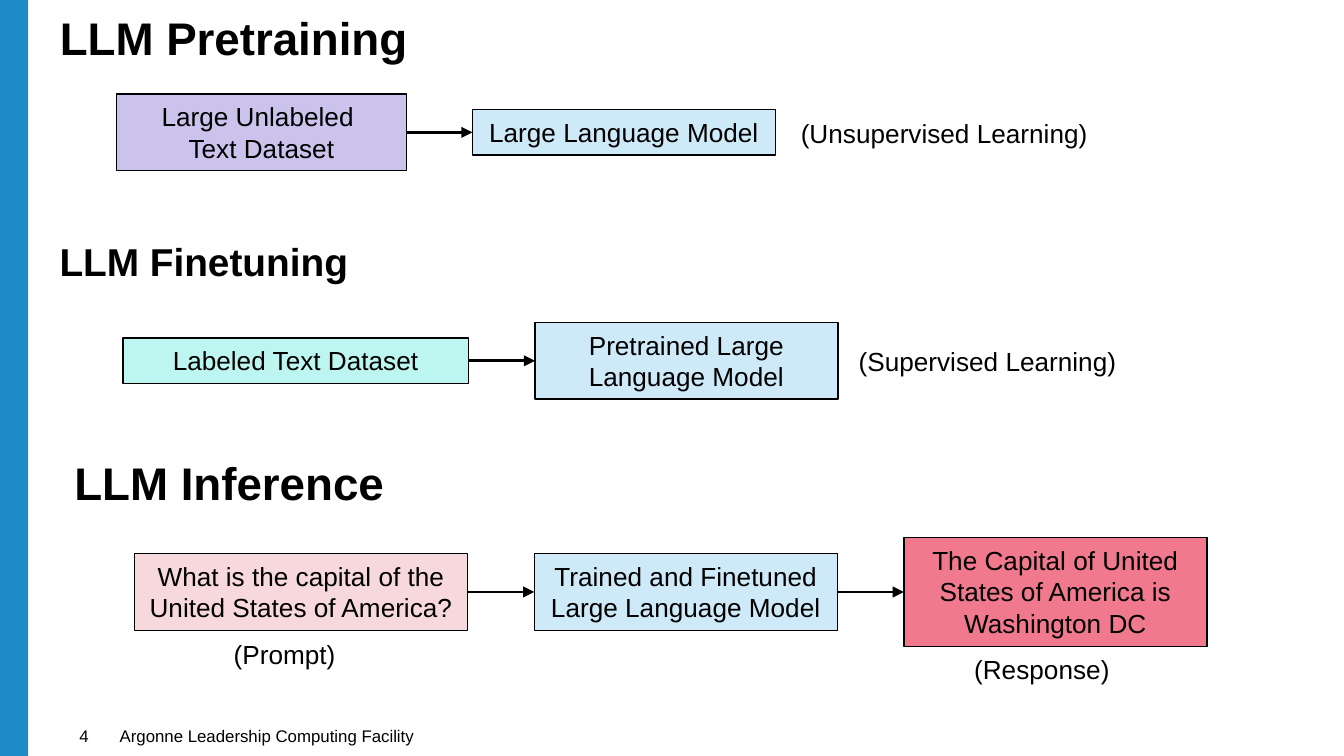
from typing import NamedTuple

from lxml.etree import SubElement
from pptx import Presentation
from pptx.dml.color import RGBColor
from pptx.enum.shapes import MSO_CONNECTOR, MSO_SHAPE
from pptx.enum.text import MSO_ANCHOR, MSO_AUTO_SIZE, PP_ALIGN
from pptx.oxml.ns import qn
from pptx.util import Emu, Pt

EMU_PER_PX = 4572
SLIDE_WIDTH, SLIDE_HEIGHT = 2000, 1125
FONT = "Arial"
BLACK = RGBColor(0x00, 0x00, 0x00)
BAR_BLUE = RGBColor(0x1E, 0x8B, 0xC9)
LAVENDER = RGBColor(0xCC, 0xC3, 0xEC)
SKY = RGBColor(0xCE, 0xE9, 0xF8)
MINT = RGBColor(0xBD, 0xF6, 0xF1)
BLUSH = RGBColor(0xF6, 0xD8, 0xDD)
ROSE = RGBColor(0xF1, 0x79, 0x8E)
BOX_HEIGHTS = {1: 68, 2: 114, 3: 162}


class Heading(NamedTuple):
    text: str
    left: int
    top: int
    width: int
    size: float
    spacing: float


class Step(NamedTuple):
    text: str
    left: int
    width: int
    lines: int
    color: RGBColor


class Flow(NamedTuple):
    middle: int
    steps: tuple[Step, ...]


class Label(NamedTuple):
    text: str
    left: int
    top: int
    width: int


HEADINGS = (
    Heading("LLM Pretraining", 69, 12, 622, 24.5, 0.9),
    Heading("LLM Finetuning", 69, 347, 498, 20.8, 0.8),
    Heading("LLM Inference", 91, 675, 554, 24.5, 0.9),
)
FLOWS = (
    Flow(197, (
        Step("Large Unlabeled \nText Dataset", 173, 432, 2, LAVENDER),
        Step("Large Language Model", 703, 451, 1, SKY),
    )),
    Flow(537, (
        Step("Labeled Text Dataset", 183, 514, 1, MINT),
        Step("Pretrained Large Language Model", 796, 451, 2, SKY),
    )),
    Flow(881, (
        Step("What is the capital of the United States of America?", 200, 496, 2, BLUSH),
        Step("Trained and Finetuned Large Language Model", 795, 451, 2, SKY),
        Step("The Capital of United States of America is Washington DC", 1345, 451, 3, ROSE),
    )),
)
LABELS = (
    Label("(Unsupervised Learning)", 1172, 165, 602),
    Label("(Supervised Learning)", 1258, 504, 602),
    Label("(Prompt)", 328, 940, 242),
    Label("(Response)", 1430, 963, 312),
)
FOOTERS = (
    Label("4", 118, 1080, 78),
    Label("Argonne Leadership Computing Facility", 178, 1080, 738),
)


def px(length: int) -> Emu:
    """Turn a length in px into EMU."""
    return Emu(length * EMU_PER_PX)


def write(shape, text: str, size: float, anchor=MSO_ANCHOR.TOP,
          align=PP_ALIGN.LEFT, bold: bool = False, spacing: float = 1.0) -> None:
    """Set and format the text of a shape."""
    frame = shape.text_frame
    frame.text = text
    frame.word_wrap = True
    frame.auto_size = MSO_AUTO_SIZE.NONE
    frame.vertical_anchor = anchor
    for para in frame.paragraphs:
        para.alignment = align
        para.line_spacing = spacing
        para.space_before = Pt(0)
        for span in para.runs:
            span.font.name = FONT
            span.font.size = Pt(size)
            span.font.bold = bold
            span.font.color.rgb = BLACK


def add_rectangle(page, left: int, top: int, width: int, height: int, color: RGBColor):
    """Add a filled rectangle without line or shadow."""
    box = page.shapes.add_shape(
        MSO_SHAPE.RECTANGLE, px(left), px(top), px(width), px(height))
    box.shadow.inherit = False
    box.fill.solid()
    box.fill.fore_color.rgb = color
    box.line.fill.background()
    return box


def add_heading(page, heading: Heading, box=None) -> None:
    """Place a heading in the given placeholder or in a new text box."""
    if box is None:
        box = page.shapes.add_textbox(0, 0, 0, 0)
    box.left, box.top = px(heading.left), px(heading.top)
    box.width, box.height = px(heading.width), px(96)
    write(box, heading.text, heading.size, MSO_ANCHOR.MIDDLE,
          bold=True, spacing=heading.spacing)


def add_label(page, label: Label) -> None:
    """Add a plain label beside or below a step."""
    box = page.shapes.add_textbox(
        px(label.left), px(label.top), px(label.width), px(68))
    write(box, label.text, 14)


def add_footer(page, label: Label) -> None:
    """Add a small footer text without insets."""
    box = page.shapes.add_textbox(
        px(label.left), px(label.top), px(label.width), px(30))
    frame = box.text_frame
    frame.margin_left = frame.margin_right = frame.margin_top = frame.margin_bottom = 0
    write(box, label.text, 9, MSO_ANCHOR.BOTTOM)


def add_step(page, step: Step, middle: int):
    """Add an outlined step box centred on the middle of its flow."""
    height = BOX_HEIGHTS[step.lines]
    box = add_rectangle(
        page, step.left, middle - height // 2, step.width, height, step.color)
    box.line.color.rgb = BLACK
    box.line.width = Pt(0.75)
    write(box, step.text, 14, align=PP_ALIGN.CENTER)
    return box


def add_arrow(page, source, target) -> None:
    """Join the right side of one box to the left side of the next."""
    arrow = page.shapes.add_connector(MSO_CONNECTOR.STRAIGHT, 0, 0, 0, 0)
    arrow.begin_connect(source, 3)
    arrow.end_connect(target, 1)
    arrow.line.color.rgb = BLACK
    arrow.line.width = Pt(1.5)
    line = arrow._element.spPr.find(qn("a:ln"))
    SubElement(line, qn("a:tailEnd"), type="triangle")
    SubElement(arrow._element.spPr, qn("a:effectLst"))


def add_flow(page, flow: Flow) -> None:
    """Draw the steps of a flow and the arrows between them."""
    boxes = [add_step(page, step, flow.middle) for step in flow.steps]
    for source, target in zip(boxes, boxes[1:]):
        add_arrow(page, source, target)


def main() -> None:
    """Build the slide and save it."""
    deck = Presentation()
    deck.slide_width, deck.slide_height = px(SLIDE_WIDTH), px(SLIDE_HEIGHT)
    page = deck.slides.add_slide(deck.slide_layouts[5])
    add_rectangle(page, 0, 0, 42, SLIDE_HEIGHT, BAR_BLUE)
    title, *others = HEADINGS
    add_heading(page, title, page.shapes.title)
    for heading in others:
        add_heading(page, heading)
    for flow in FLOWS:
        add_flow(page, flow)
    for label in LABELS:
        add_label(page, label)
    for footer in FOOTERS:
        add_footer(page, footer)
    deck.save("out.pptx")


if __name__ == "__main__":
    main()
